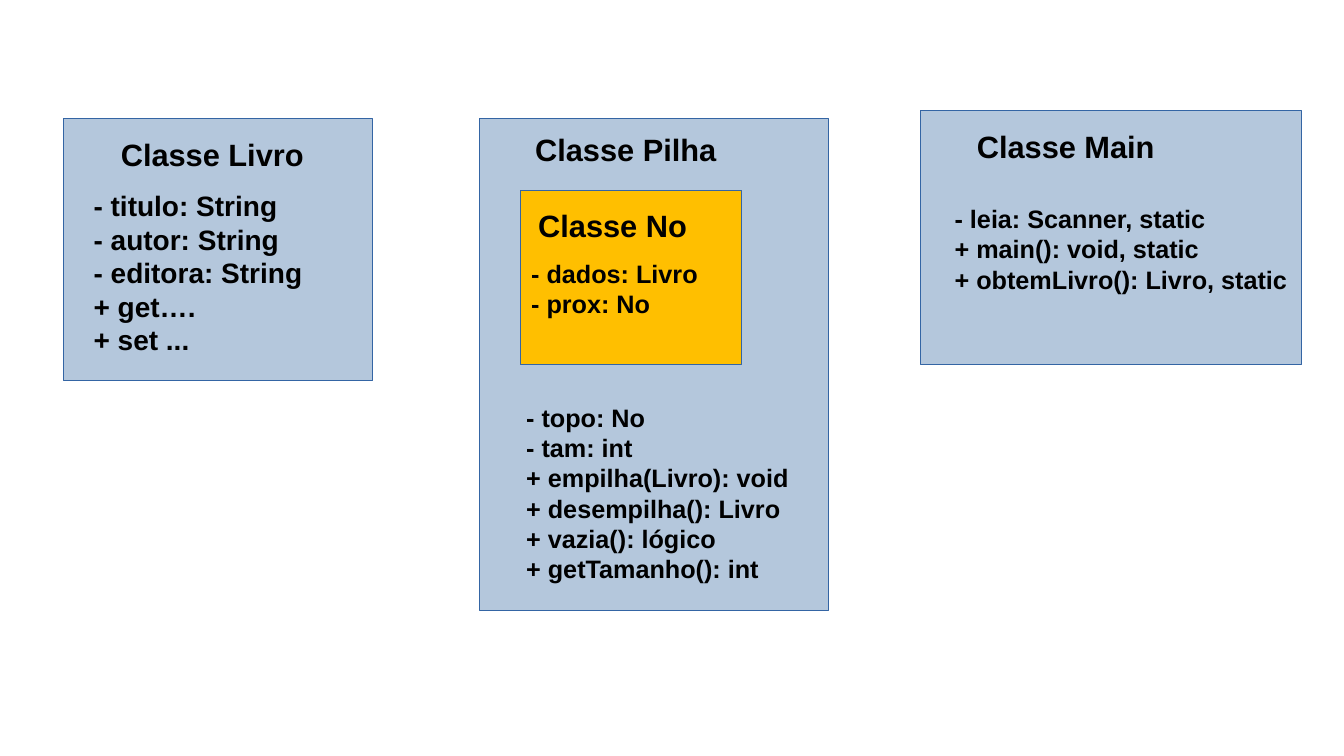
"""Draw the class diagram of a stack of books: Livro, Pilha with its No, and Main."""
from dataclasses import dataclass

from pptx import Presentation
from pptx import util as u
from pptx.dml.color import RGBColor
from pptx.enum import shapes, text
from pptx.shapes.shapetree import GroupShapes

BLUE = RGBColor(0xB4, 0xC7, 0xDC)
AMBER = RGBColor(0xFF, 0xBF, 0x00)
OUTLINE = RGBColor(0x34, 0x65, 0xA4)
BLACK = RGBColor(0, 0, 0)
FONT = "Arial"
TITLE_SIZE = 22

Area = tuple[float, float, float, float]


@dataclass(frozen=True)
class ClassBox:
    """A class with its frame, title, members and nested classes."""

    frame: Area
    title: str
    title_area: Area
    members: tuple[str, ...]
    members_area: Area
    members_size: int = 18
    fill: RGBColor = BLUE
    nested: tuple["ClassBox", ...] = ()


NO = ClassBox(
    frame=(5.16, 1.89, 2.2, 1.73),
    title="Classe No",
    title_area=(5.24, 2, 1.67, 0.44),
    members=("- dados: Livro", "- prox: No"),
    members_area=(5.17, 2.51, 1.85, 0.66),
    fill=AMBER,
)

CLASSES = (
    ClassBox(
        frame=(0.63, 1.18, 3.07, 2.6),
        title="Classe Livro",
        title_area=(1.1, 1.3, 2.01, 0.44),
        members=("- titulo: String", "- autor: String", "- editora: String",
                 "+ get….", "+ set ..."),
        members_area=(0.83, 1.82, 2.27, 1.65),
        members_size=20,
    ),
    ClassBox(
        frame=(4.76, 1.18, 3.46, 4.88),
        title="Classe Pilha",
        title_area=(5.21, 1.25, 2, 0.44),
        members=("- topo: No", "- tam: int", "+ empilha(Livro): void",
                 "+ desempilha(): Livro", "+ vazia(): lógico",
                 "+ getTamanho(): int"),
        members_area=(5.12, 3.94, 2.81, 1.78),
        nested=(NO,),
    ),
    ClassBox(
        frame=(9.13, 1.1, 3.78, 2.52),
        title="Classe Main",
        title_area=(9.59, 1.22, 2.85, 0.52),
        members=("- leia: Scanner, static", "+ main(): void, static",
                 "+ obtemLivro(): Livro, static"),
        members_area=(9.37, 1.97, 3.5, 0.94),
    ),
)


def add_text(canvas: GroupShapes, area: Area, *lines: str, size: int,
             bold: bool = True, color: RGBColor = BLACK) -> None:
    """Write one paragraph per line in a text box."""
    frame = canvas.add_textbox(*map(u.Inches, area)).text_frame
    frame.word_wrap = True
    frame.margin_right = 0
    frame.vertical_anchor = text.MSO_ANCHOR.TOP
    frame.text = "\n".join(lines)
    for paragraph in frame.paragraphs:
        for run in paragraph.runs:
            run.font.name = FONT
            run.font.size = u.Pt(size)
            run.font.bold = bold
            run.font.color.rgb = color


def draw_class(canvas: GroupShapes, box: ClassBox) -> None:
    """Draw a class frame, its title, its nested classes and its members."""
    frame = canvas.add_shape(shapes.MSO_SHAPE.RECTANGLE, *map(u.Inches, box.frame))
    frame.shadow.inherit = False
    frame.fill.solid()
    frame.fill.fore_color.rgb = box.fill
    frame.line.color.rgb = OUTLINE
    frame.line.width = u.Pt(0.75)
    add_text(canvas, box.title_area, box.title, size=TITLE_SIZE)
    for inner in box.nested:
        draw_class(canvas, inner)
    add_text(canvas, box.members_area, *box.members, size=box.members_size)


def main() -> None:
    """Build the slide with one group per outer class."""
    deck = Presentation()
    deck.slide_width, deck.slide_height = u.Inches(13.33), u.Inches(7.5)
    slide = deck.slides.add_slide(deck.slide_layouts[6])
    for box in CLASSES:
        draw_class(slide.shapes.add_group_shape().shapes, box)
    deck.save("out.pptx")


main()
